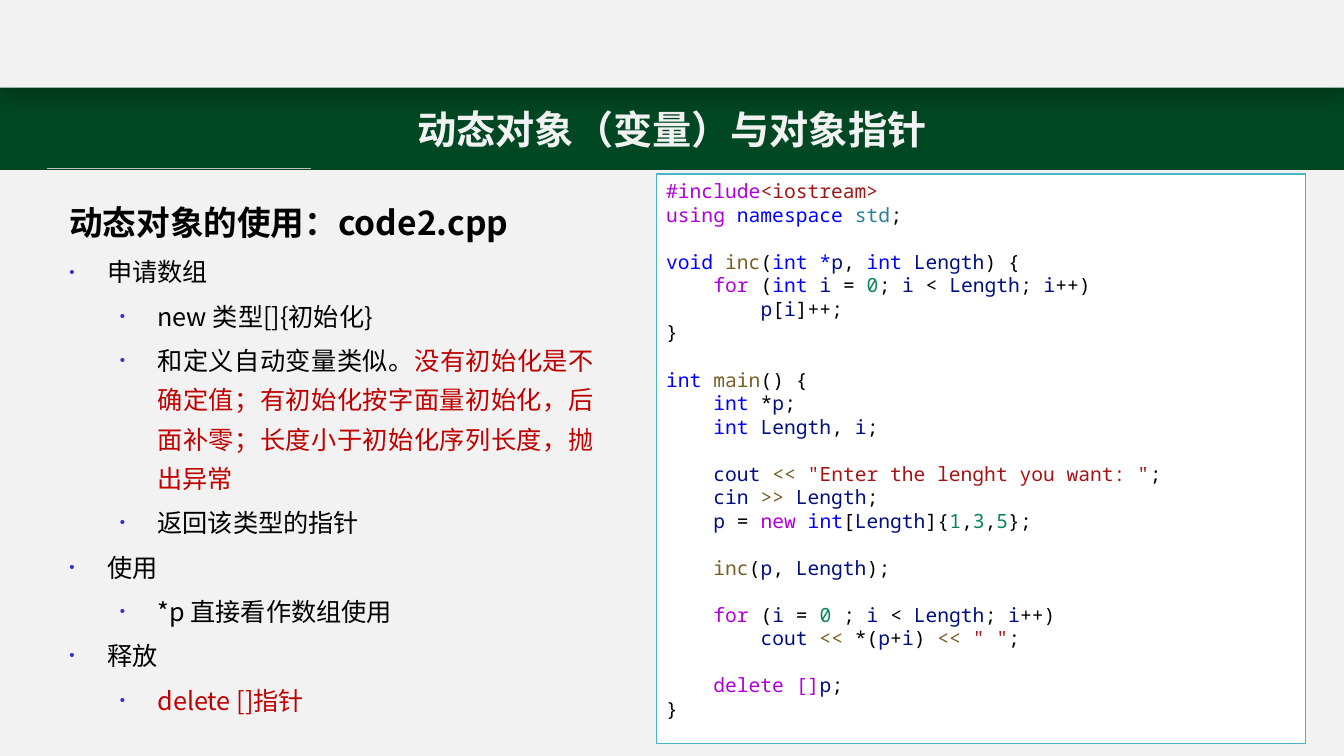
import dataclasses
import typing

import lxml.etree
import pptx
import pptx.dml.color
import pptx.enum.shapes
import pptx.enum.text
import pptx.oxml
import pptx.oxml.ns
import pptx.util

Cm = pptx.util.Cm
Pt = pptx.util.Pt
ALIGN = pptx.enum.text.PP_ALIGN
ANCHOR = pptx.enum.text.MSO_ANCHOR

COLORS = {
    "page": "F2F2F2", "green": "004723", "rule": "BFBFBF", "white": "FFFFFF",
    "frame": "4AB5C4", "bullet": "3333CC", "red": "C00000", "black": "000000",
}
SYNTAX = {
    "c": "AF00DB", "t": "0000FF", "v": "001080", "f": "795E26",
    "n": "098658", "s": "A31515", "l": "267F99", "k": "000000",
}
SANS = "Noto Sans CJK SC"
MONO = "Noto Sans Mono"
WIDTH = 33.87
INDENT = " " * 4


@dataclasses.dataclass
class Box:
    left: float
    top: float
    width: float
    height: float
    fill: str
    line: typing.Optional[str] = None


@dataclasses.dataclass
class Point:
    runs: list[tuple[str, str]]
    level: int = 0


@dataclasses.dataclass
class CodeLine:
    tokens: str
    depth: int = 0
    gap: bool = False


TITLE_BAND = Box(0, 2.21, WIDTH, 2.06, "green", "green")
TOP_BAND = Box(0, 0, WIDTH, 2.21, "page")
CODE_BOX = Box(16.54, 4.39, 16.36, 14.35, "white", "frame")

POINTS = [
    Point([("申请数组", "black")]),
    Point([("new 类型[]{初始化}", "black")], 1),
    Point([("和定义自动变量类似。", "black"),
           ("没有初始化是不确定值；有初始化按字面量初始化，后面补零；长度小于初始化序列长度，抛出异常", "red")], 1),
    Point([("返回该类型的指针", "black")], 1),
    Point([("使用", "black")]),
    Point([("*p 直接看作数组使用", "black")], 1),
    Point([("释放", "black")]),
    Point([("delete []指针", "red")], 1),
]

CODE = [
    CodeLine("c#include|s<iostream>"),
    CodeLine("cusing |tnamespace |lstd|k;"),
    CodeLine("tvoid |finc|k(|tint *|vp|k, |tint |vLength|k) {", gap=True),
    CodeLine("cfor|k (|tint |vi|k = |n0|k; |vi|k < |vLength|k; |vi|k++)", 1),
    CodeLine("vp|k[|vi|k]++;", 2),
    CodeLine("k}"),
    CodeLine("tint |fmain|k() {", gap=True),
    CodeLine("tint|k *|vp|k;", 1),
    CodeLine("tint |vLength|k, |vi|k;", 1),
    CodeLine('vcout |f<< |s"Enter the lenght you want: "|k;', 1, True),
    CodeLine("vcin |f>> |vLength|k;", 1),
    CodeLine("vp|k = |cnew |tint|k[|vLength|k]{|n1|k,|n3|k,|n5|k};", 1),
    CodeLine("finc|k(|vp|k, |vLength|k);", 1, True),
    CodeLine("cfor|k (|vi|k = |n0|k ; |vi|k < |vLength|k; |vi|k++)", 1, True),
    CodeLine('vcout |f<<|k *(|vp|k+|vi|k) |f<< |s" "|k;', 2),
    CodeLine("cdelete []|vp|k;", 1, True),
    CodeLine("k}"),
]


def rgb(value: str) -> pptx.dml.color.RGBColor:
    return pptx.dml.color.RGBColor.from_string(value)


def add_xml(parent: typing.Any, tag: str, **attrs: str) -> typing.Any:
    el = lxml.etree.SubElement(parent, pptx.oxml.ns.qn(tag))
    for key, value in attrs.items():
        el.set(key, value)
    return el


def add_text(p: typing.Any, text: str, *, size: float, color: str,
             font: str = SANS, bold: bool = False) -> None:
    r = p.add_run()
    r.text = text
    r.font.size = Pt(size)
    r.font.bold = bold
    r.font.color.rgb = rgb(color)
    r.font.name = font
    add_xml(r.font._element, "a:ea", typeface=font)


def add_box(slide: typing.Any, box: Box) -> typing.Any:
    sp = slide.shapes.add_shape(
        pptx.enum.shapes.MSO_SHAPE.RECTANGLE,
        Cm(box.left), Cm(box.top), Cm(box.width), Cm(box.height))
    sp.shadow.inherit = False
    sp.fill.solid()
    sp.fill.fore_color.rgb = rgb(COLORS[box.fill])
    if box.line:
        sp.line.color.rgb = rgb(COLORS[box.line])
        sp.line.width = Pt(1)
    else:
        sp.line.fill.background()
    return sp


def add_shadow(sp: typing.Any) -> None:
    effects = sp._element.spPr.find(pptx.oxml.ns.qn("a:effectLst"))
    shadow = add_xml(effects, "a:outerShdw", blurRad=str(Pt(18)), dist=str(Pt(4)),
                     dir="5400000", algn="t", rotWithShape="0")
    add_xml(add_xml(shadow, "a:srgbClr", val=COLORS["black"]), "a:alpha", val="29000")


def add_bullet(p: typing.Any, level: int) -> None:
    p.level = level
    pPr = p._p.get_or_add_pPr()
    pPr.set("marL", str(Cm(0.95 + 1.27 * level)))
    pPr.set("indent", str(Cm(-0.95)))
    add_xml(add_xml(pPr, "a:buClr"), "a:srgbClr", val=COLORS["bullet"])
    add_xml(pPr, "a:buSzPct", val="60000")
    add_xml(pPr, "a:buFont", typeface="Arial")
    add_xml(pPr, "a:buChar", char="•")


def add_header(slide: typing.Any) -> None:
    sp = add_box(slide, TITLE_BAND)
    tf = sp.text_frame
    tf.vertical_anchor = ANCHOR.MIDDLE
    p = tf.paragraphs[0]
    p.alignment = ALIGN.CENTER
    add_text(p, "动态对象（变量）与对象指针", size=28, color=COLORS["page"], bold=True)
    add_shadow(add_box(slide, TOP_BAND))
    rule = slide.shapes.add_connector(
        pptx.enum.shapes.MSO_CONNECTOR.STRAIGHT, Cm(1.19), Cm(4.24), Cm(7.85), Cm(4.24))
    rule.line.color.rgb = rgb(COLORS["rule"])
    rule.line.width = Pt(0.5)
    add_xml(rule._element.spPr, "a:effectLst")


def add_code(slide: typing.Any) -> None:
    tf = add_box(slide, CODE_BOX).text_frame
    tf.word_wrap = False
    tf.vertical_anchor = ANCHOR.TOP
    for i, line in enumerate(CODE):
        p = tf.add_paragraph() if i else tf.paragraphs[0]
        p.alignment = ALIGN.LEFT
        if line.gap:
            p.space_before = Pt(16.8)
        if line.depth:
            add_text(p, INDENT * line.depth, size=14, color=SYNTAX["k"], font=MONO)
        for token in line.tokens.split("|"):
            add_text(p, token[1:], size=14, color=SYNTAX[token[0]], font=MONO)


def add_points(slide: typing.Any) -> None:
    tf = slide.shapes.add_textbox(Cm(1.5), Cm(4.67), Cm(13.72), Cm(13.41)).text_frame
    tf.word_wrap = True
    p = tf.paragraphs[0]
    add_text(p, "动态对象的使用：code2.cpp", size=24, color=COLORS["black"], bold=True)
    for point in POINTS:
        p = tf.add_paragraph()
        add_bullet(p, point.level)
        p.space_before = Pt(3.6)
        for text, color in point.runs:
            add_text(p, text, size=18, color=COLORS[color])
    for p in tf.paragraphs:
        p.alignment = ALIGN.JUSTIFY
        p.line_spacing = 1.3


def main() -> None:
    prs = pptx.Presentation()
    prs.slide_width, prs.slide_height = Cm(WIDTH), Cm(19.05)
    slide = prs.slides.add_slide(prs.slide_layouts[6])
    slide.background.fill.solid()
    slide.background.fill.fore_color.rgb = rgb(COLORS["page"])
    add_header(slide)
    add_code(slide)
    add_points(slide)
    prs.save("out.pptx")


if __name__ == "__main__":
    main()
